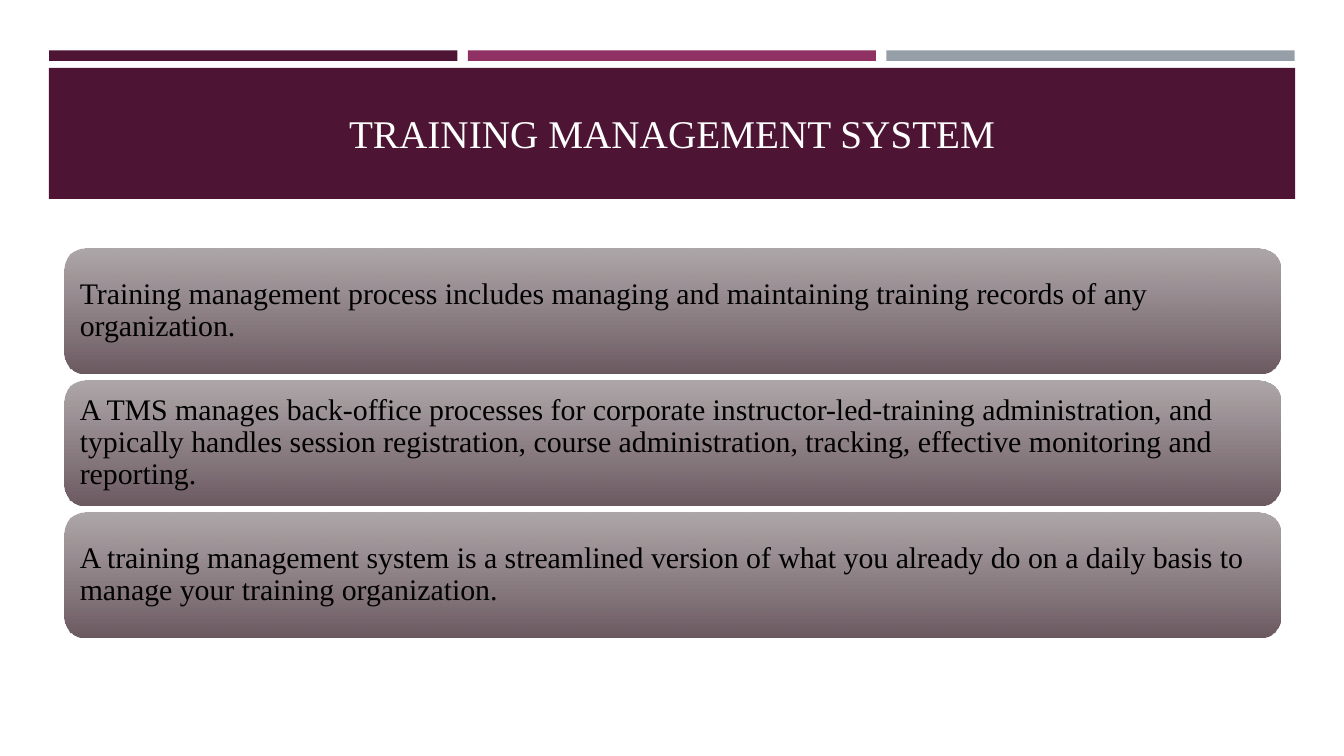
from pptx import Presentation
from pptx.dml.color import RGBColor
from pptx.enum.shapes import MSO_SHAPE
from pptx.enum.text import MSO_ANCHOR, PP_ALIGN
from pptx.oxml.ns import qn
from pptx.util import Pt
from lxml.etree import SubElement

FONT = "Times New Roman"
HUES = {
    "plum": "4D1434",
    "rose": "903163",
    "slate": "969FA7",
    "top": "A49C9F",
    "base": "6C5A61",
    "white": "FFFFFF",
    "black": "000000",
}
TITLE = "TRAINING MANAGEMENT SYSTEM"
CARDS = [
    "Training management process includes managing and maintaining "
    "training records of any organization.",
    "A TMS manages back-office processes for corporate instructor-led-training "
    "administration, and typically handles session registration, course "
    "administration, tracking, effective monitoring and reporting.",
    "A training management system is a streamlined version of what you already "
    "do on a daily basis to manage your training organization.",
]


def color(name):
    return RGBColor.from_string(HUES[name])


def add_box(slide, kind, x, y, w, h):
    box = slide.shapes.add_shape(kind, Pt(x), Pt(y), Pt(w), Pt(h))
    box.shadow.inherit = False
    box.line.fill.background()
    return box


def add_rect(slide, x, y, w, h, hue):
    rect = add_box(slide, MSO_SHAPE.RECTANGLE, x, y, w, h)
    rect.fill.solid()
    rect.fill.fore_color.rgb = color(hue)
    return rect


def set_text(shape, text, size, hue, align):
    frame = shape.text_frame
    frame.word_wrap = True
    frame.vertical_anchor = MSO_ANCHOR.MIDDLE
    frame.margin_left = frame.margin_right = Pt(5)
    frame.margin_top = frame.margin_bottom = Pt(5)
    para = frame.paragraphs[0]
    para.text = text
    para.alignment = align
    para.font.name = FONT
    para.font.size = Pt(size)
    para.font.color.rgb = color(hue)
    return para


def add_card(slide, y, text):
    card = add_box(slide, MSO_SHAPE.ROUNDED_RECTANGLE, 34.5, y, 651.5, 67.2)
    card.fill.gradient()
    card.fill.gradient_angle = 270
    for stop, hue in zip(card.fill.gradient_stops, ("top", "base")):
        stop.color.rgb = color(hue)
    # The upper stop is slightly transparent
    first = next(card.element.spPr.iter(qn("a:srgbClr")))
    SubElement(first, qn("a:alpha"), val="90000")
    para = set_text(card, text, 16, "black", PP_ALIGN.LEFT)
    para.line_spacing = 0.9


def main():
    deck = Presentation()
    deck.slide_width, deck.slide_height = Pt(720), Pt(405)
    slide = deck.slides.add_slide(deck.slide_layouts[6])

    # Bars above the title
    for i, hue in enumerate(("plum", "rose", "slate")):
        add_rect(slide, 26.3 + i * 224.3, 27, 218.7, 5.6, hue)

    # Title band
    band = add_rect(slide, 26.2, 36.3, 667.7, 70.2, "plum")
    set_text(band, TITLE, 21, "white", PP_ALIGN.CENTER)

    # Stacked statements
    for i, text in enumerate(CARDS):
        add_card(slide, 133 + i * 70.7, text)

    deck.save("out.pptx")


if __name__ == "__main__":
    main()
